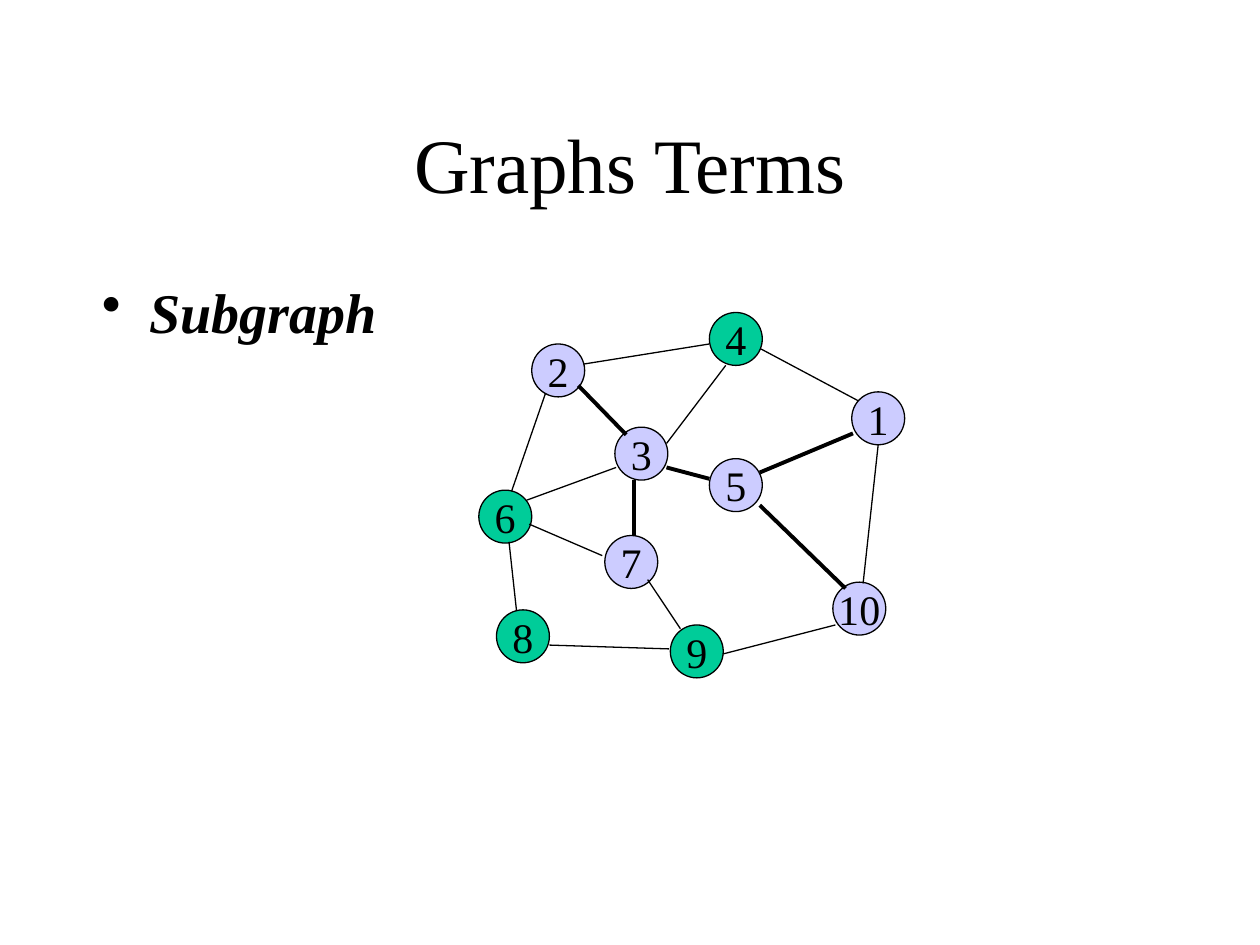
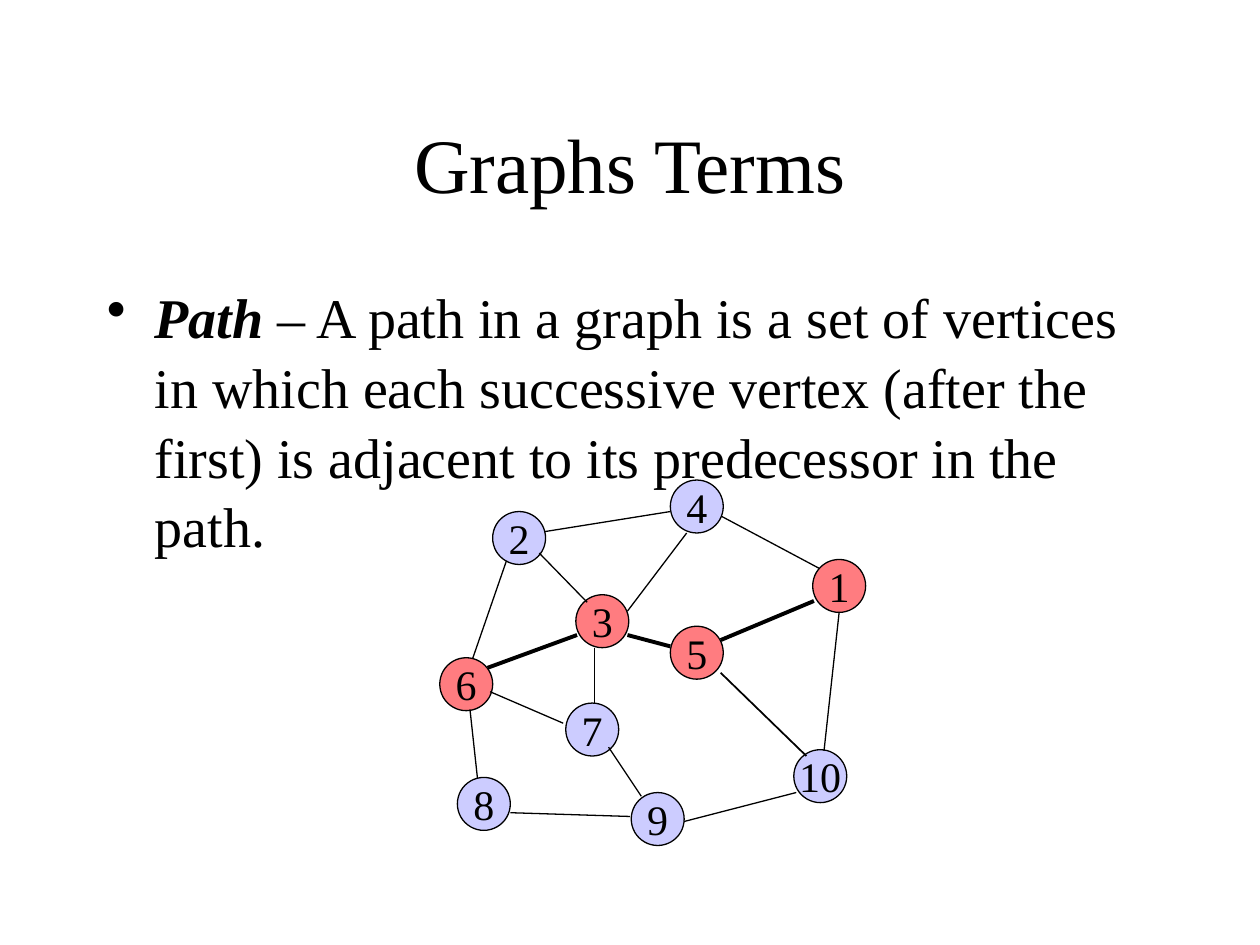
from dataclasses import dataclass

from lxml import etree
from pptx import Presentation
from pptx.dml.color import RGBColor
from pptx.enum import shapes, text
from pptx.oxml import ns
from pptx.util import Inches, Pt


@dataclass(frozen=True)
class Theme:
    font: str = "Times New Roman"
    ink: RGBColor = RGBColor(0x00, 0x00, 0x00)
    lavender: RGBColor = RGBColor(0xCC, 0xCC, 0xFF)
    green: RGBColor = RGBColor(0x00, 0xCC, 0x99)
    red: RGBColor = RGBColor(0xFF, 0x7C, 0x80)
    title_size: int = 44
    body_size: int = 32
    vertex_size: int = 24
    thin: float = 0.75
    medium: float = 1
    thick: float = 2.25


THEME = Theme()
TITLE_BOX = (0.75, 0.67, 8.5, 1.25)
BODY_SIZE = (8.5, 4.5)
DIAMETER = 0.42

# Top left corner of each vertex, measured from the graph's corner
VERTICES = {
    1: (2.96, 0.63), 2: (0.42, 0.25), 3: (1.08, 0.91), 4: (1.83, 0),
    5: (1.83, 1.16), 6: (0, 1.41), 7: (1, 1.77), 8: (0.14, 2.36),
    9: (1.52, 2.48), 10: (2.81, 2.14),
}

# End points of each edge, measured from the same corner
EDGES = {
    (2, 4): (0.83, 0.41, 1.83, 0.25),
    (2, 3): (0.79, 0.58, 1.17, 0.97),
    (3, 4): (1.49, 1.04, 1.96, 0.42),
    (2, 6): (0.53, 0.64, 0.26, 1.42),
    (3, 6): (1.09, 1.23, 0.38, 1.49),
    (3, 5): (1.49, 1.23, 1.83, 1.32),
    (6, 8): (0.24, 1.82, 0.3, 2.37),
    (6, 7): (0.4, 1.68, 0.98, 1.93),
    (3, 7): (1.23, 1.33, 1.23, 1.77),
    (5, 10): (2.23, 1.53, 2.91, 2.19),
    (7, 9): (1.34, 2.12, 1.6, 2.51),
    (8, 9): (0.56, 2.64, 1.51, 2.67),
    (9, 10): (1.94, 2.71, 2.83, 2.48),
    (1, 10): (3.05, 2.15, 3.17, 1.05),
    (1, 4): (2.24, 0.29, 3.01, 0.7),
    (1, 5): (2.97, 0.96, 2.23, 1.27),
}


def style_font(font, size):
    font.name = THEME.font
    font.size = Pt(size)
    font.color.rgb = THEME.ink


def add_title(slide, box, wording):
    title = slide.shapes.title
    title.left, title.top, title.width, title.height = map(Inches, box)
    frame = title.text_frame
    frame.text = wording
    frame.auto_size = text.MSO_AUTO_SIZE.NONE
    frame.vertical_anchor = text.MSO_ANCHOR.MIDDLE
    paragraph = frame.paragraphs[0]
    paragraph.alignment = text.PP_ALIGN.CENTER
    style_font(paragraph.font, THEME.title_size)


def add_definition(slide, corner, term, meaning):
    """One bullet: the term in bold italics, then its meaning."""
    body = slide.shapes.add_textbox(*map(Inches, corner + BODY_SIZE))
    body.text_frame.word_wrap = True
    paragraph = body.text_frame.paragraphs[0]
    paragraph.line_spacing = 1.04
    paragraph.space_before = Pt(8)
    style_font(paragraph.font, THEME.body_size)
    term_run = paragraph.add_run()
    term_run.text = term
    term_run.font.bold = term_run.font.italic = True
    if meaning:
        paragraph.add_run().text = meaning

    # Hanging bullet
    properties = paragraph._p.get_or_add_pPr()
    properties.set("marL", str(Inches(0.38)))
    properties.set("indent", str(Inches(-0.38)))
    bullet = etree.Element(ns.qn("a:buChar"), char="•")
    properties.find(ns.qn("a:spcBef")).addnext(bullet)


def add_vertex(slide, left, top, number, color):
    vertex = slide.shapes.add_shape(
        shapes.MSO_SHAPE.OVAL, *map(Inches, (left, top, DIAMETER, DIAMETER)))
    vertex.shadow.inherit = False
    vertex.fill.solid()
    vertex.fill.fore_color.rgb = color
    vertex.line.color.rgb = THEME.ink
    vertex.line.width = Pt(THEME.thin)
    frame = vertex.text_frame
    frame.word_wrap = False
    frame.vertical_anchor = text.MSO_ANCHOR.MIDDLE
    frame.text = str(number)
    paragraph = frame.paragraphs[0]
    paragraph.alignment = text.PP_ALIGN.CENTER
    style_font(paragraph.font, THEME.vertex_size)


def add_edge(slide, ends, width):
    edge = slide.shapes.add_connector(
        shapes.MSO_CONNECTOR.STRAIGHT, *map(Inches, ends))
    edge.line.color.rgb = THEME.ink
    edge.line.width = Pt(width)
    etree.SubElement(edge._element.spPr, ns.qn("a:effectLst"))


def add_graph(slide, corner, marked, mark_color, widths):
    left, top = corner
    for number, (x, y) in VERTICES.items():
        color = mark_color if number in marked else THEME.lavender
        add_vertex(slide, left + x, top + y, number, color)
    for pair, (x1, y1, x2, y2) in EDGES.items():
        ends = (left + x1, top + y1, left + x2, top + y2)
        add_edge(slide, ends, widths.get(pair, THEME.thin))


def add_term_slide(presentation, term, meaning, body_corner, **graph):
    slide = presentation.slides.add_slide(presentation.slide_layouts[5])
    add_title(slide, TITLE_BOX, "Graphs Terms")
    add_definition(slide, body_corner, term, meaning)
    add_graph(slide, **graph)


def main():
    presentation = Presentation()
    presentation.slide_width = Inches(10)
    presentation.slide_height = Inches(7.5)

    # Subgraph: thick edges join the vertices that stay lavender
    subgraph_edges = [(2, 3), (3, 5), (3, 7), (5, 10), (1, 5)]
    add_term_slide(
        presentation, "Subgraph", "", (0.71, 2.13),
        corner=(3.8, 2.48), marked={4, 6, 8, 9}, mark_color=THEME.green,
        widths=dict.fromkeys(subgraph_edges, THEME.thick))

    # Path: 6, 3, 5, 1
    path_edges = [(3, 6), (3, 5), (1, 5)]
    add_term_slide(
        presentation, "Path",
        " – A path in a graph is a set of vertices in which each successive "
        "vertex (after the first) is adjacent to its predecessor in the path.",
        (0.75, 2.17),
        corner=(3.49, 3.81), marked={1, 3, 5, 6}, mark_color=THEME.red,
        widths={**dict.fromkeys(path_edges, THEME.thick),
                (5, 10): THEME.medium})

    presentation.save("out.pptx")


if __name__ == "__main__":
    main()
